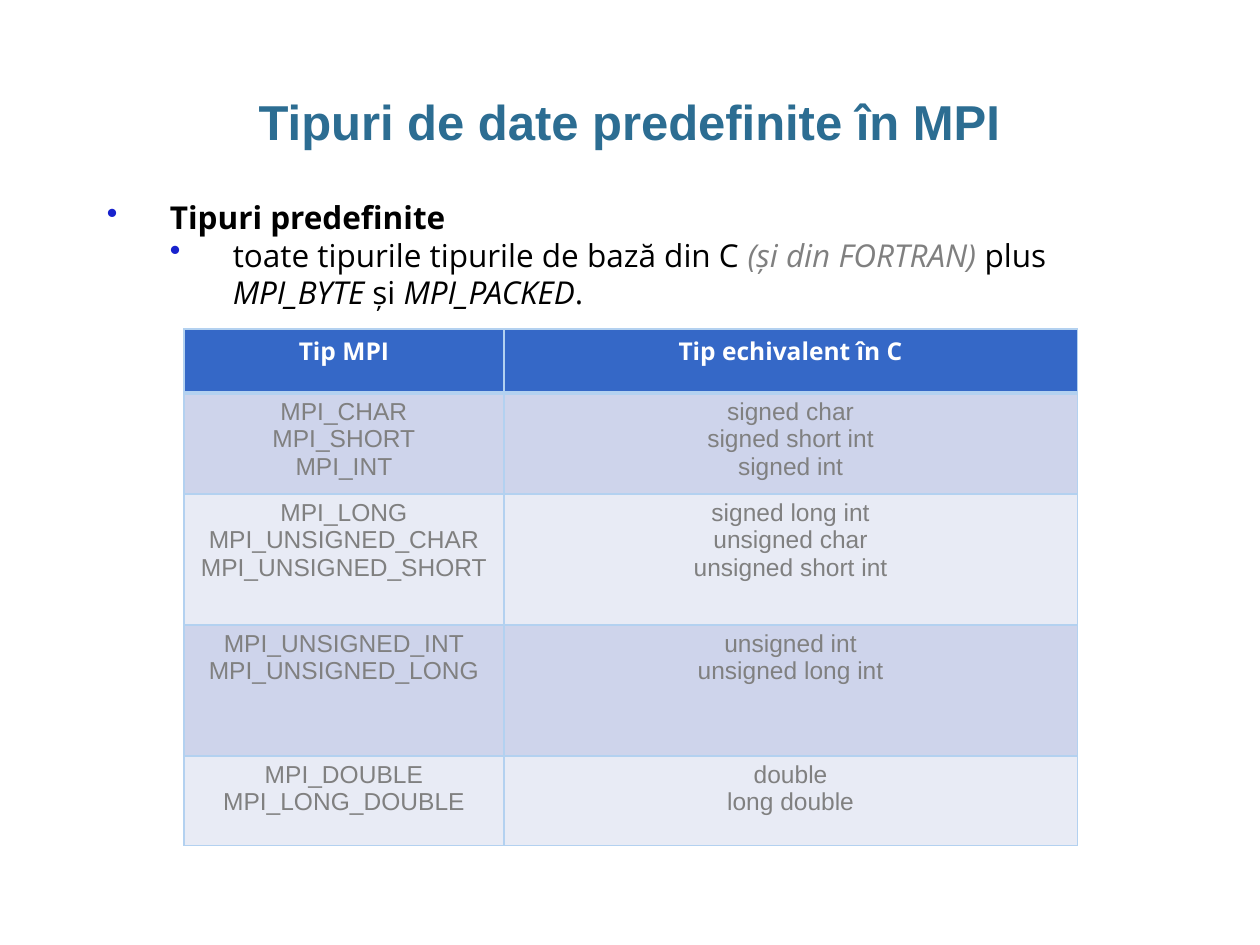
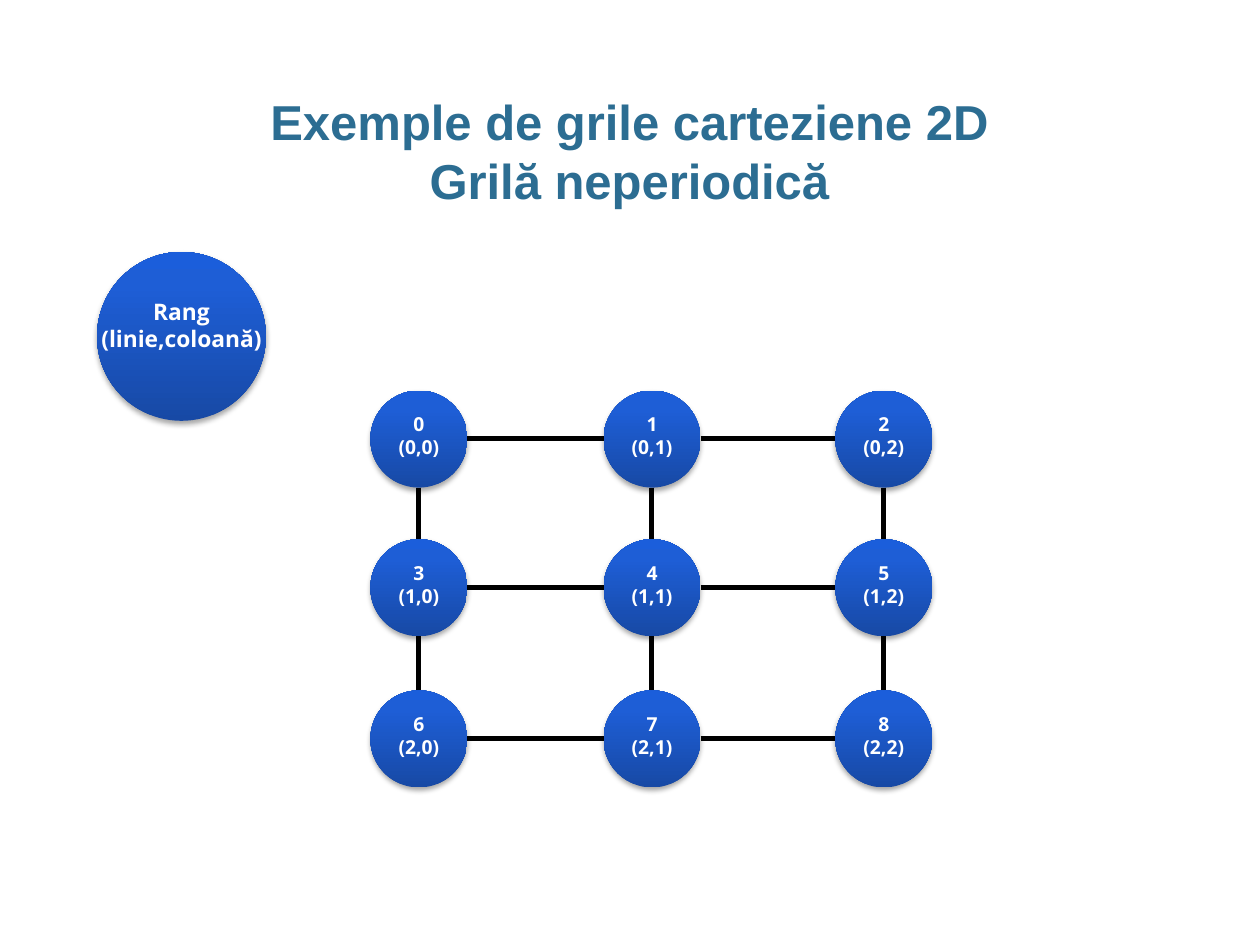
from pptx import Presentation
from pptx.dml.color import RGBColor
from pptx.enum.shapes import MSO_CONNECTOR, MSO_SHAPE
from pptx.enum.text import MSO_ANCHOR, PP_ALIGN
from pptx.oxml import parse_xml
from pptx.oxml.ns import nsdecls
from pptx.util import Pt

PX = 9144  # 100 px to the inch
COLORS = {
    "title": "2C6D92", "text": "000000", "muted": "808080", "white": "FFFFFF",
    "bullet": "1822CD", "header": "3568C7", "band": "CED4EB",
    "light_band": "E8EBF5", "border": "B3D1F0", "line": "000000",
    "node_dark": "1749A5", "node_mid": "1E5ED6", "node_bright": "1B5EDB",
}
HEADING_FONT, BODY_FONT = "Arial", "Open Sans"


def add_span(para, text, size, font, color, bold=False, italic=False):
    span = para.add_run()
    span.text = text
    span.font.size, span.font.name = Pt(size), font
    span.font.bold, span.font.italic = bold, italic
    span.font.color.rgb = RGBColor.from_string(COLORS[color])


def add_lines(frame, lines, *style):
    """Fill the frame with one centred paragraph per line."""
    for number, line in enumerate(lines):
        para = frame.add_paragraph() if number else frame.paragraphs[0]
        para.alignment = PP_ALIGN.CENTER
        add_span(para, line, *style)


deck = Presentation()
deck.slide_width, deck.slide_height = 1000 * PX, 750 * PX

# Both pages share the title style
pages = []
for title_lines in (["Tipuri de date predefinite în MPI"],
                    ["Exemple de grile carteziene 2D", "Grilă neperiodică"]):
    page = deck.slides.add_slide(deck.slide_layouts[6])
    pages.append(page)
    box = page.shapes.add_textbox(34 * PX, 68 * PX, 931 * PX, 50 * PX)
    frame = box.text_frame
    frame.word_wrap = True
    frame.margin_left = frame.margin_right = 0
    para = frame.paragraphs[0]
    para.alignment = PP_ALIGN.CENTER
    for number, line in enumerate(title_lines):
        if number:
            para.add_line_break()
        add_span(para, line, 28, HEADING_FONT, "title", True)
types_page, grid_page = pages

# Predefined types: bullets, each span as text, colour, bold, italic
bullets = [
    [("Tipuri predefinite", "text", True, False)],
    [("toate tipurile tipurile de bază din C ", "text", False, False),
     ("(și din FORTRAN) ", "muted", False, True),
     ("plus ", "text", False, False),
     ("MPI_BYTE ", "text", False, True),
     ("și ", "text", False, False),
     ("MPI_PACKED", "text", False, True),
     (".", "text", False, False)],
]
box = types_page.shapes.add_textbox(75 * PX, 152 * PX, 850 * PX, 101 * PX)
frame = box.text_frame
frame.word_wrap = True
for level, spans in enumerate(bullets):
    para = frame.add_paragraph() if level else frame.paragraphs[0]
    para.level = level
    properties = para._p.get_or_add_pPr()
    properties.set("marL", str(50 * (level + 1) * PX))
    properties.set("indent", str(-50 * PX))
    properties.append(parse_xml(
        f'<a:buClr {nsdecls("a")}><a:srgbClr val="{COLORS["bullet"]}"/></a:buClr>'))
    properties.append(parse_xml(f'<a:buChar {nsdecls("a")} char="•"/>'))
    for text, color, bold, italic in spans:
        add_span(para, text, 18, BODY_FONT, color, bold, italic)

# Table of MPI types and their C equivalents
type_rows = [
    (51, ["Tip MPI"], ["Tip echivalent în C"]),
    (80, ["MPI_CHAR", "MPI_SHORT", "MPI_INT"],
     ["signed char", "signed short int", "signed int"]),
    (104, ["MPI_LONG", "MPI_UNSIGNED_CHAR", "MPI_UNSIGNED_SHORT"],
     ["signed long int", "unsigned char", "unsigned short int"]),
    (104, ["MPI_UNSIGNED_INT", "MPI_UNSIGNED_LONG"],
     ["unsigned int", "unsigned long int"]),
    (71, ["MPI_DOUBLE", "MPI_LONG_DOUBLE"], ["double", "long double"]),
]
table = types_page.shapes.add_table(
    len(type_rows), 2, 146 * PX, 261 * PX, 709 * PX, 410 * PX).table
for column, width in zip(table.columns, (254, 455)):
    column.width = width * PX
for row, (height, *cell_lines) in enumerate(type_rows):
    table.rows[row].height = height * PX
    for column, lines in enumerate(cell_lines):
        cell = table.cell(row, column)
        cell.margin_left = cell.margin_right = 8 * PX
        cell.margin_top = cell.margin_bottom = 4 * PX
        for side in "LRTB":
            under_header = (row, side) in ((0, "B"), (1, "T"))
            cell._tc.get_or_add_tcPr().append(parse_xml(
                f'<a:ln{side} {nsdecls("a")} w="{Pt(3 if under_header else 1)}">'
                f'<a:solidFill><a:srgbClr val="{COLORS["border"]}"/></a:solidFill>'
                f'</a:ln{side}>'))
        fill = "header" if row == 0 else "band" if row % 2 else "light_band"
        cell.fill.solid()
        cell.fill.fore_color.rgb = RGBColor.from_string(COLORS[fill])
        if row == 0:
            add_lines(cell.text_frame, lines, 14, BODY_FONT, "white", True)
        else:
            add_lines(cell.text_frame, lines, 14, HEADING_FONT, "muted")

# Cartesian grid: the legend node, then one node per rank
NODE = 77
columns, rows = (294, 479, 663), (310, 428, 548)
nodes = [(77, 200, 134, 13, 18, ["Rang", "(linie,coloană)"])]
for row, top in enumerate(rows):
    for column, left in enumerate(columns):
        rank = row * len(columns) + column
        nodes.append((left, top, NODE, 11, 6, [str(rank), f"({row},{column})"]))

stops = "".join(
    f'<a:gs pos="{percent * 1000}"><a:srgbClr val="{COLORS[color]}"/></a:gs>'
    for percent, color in ((0, "node_dark"), (80, "node_mid"), (100, "node_bright")))
for left, top, size, font_size, lift, lines in nodes:
    node = grid_page.shapes.add_shape(
        MSO_SHAPE.OVAL, left * PX, top * PX, size * PX, size * PX)
    node.line.fill.background()
    node.fill.background()
    properties = node._element.spPr
    properties.replace(properties.find("{*}noFill"), parse_xml(
        f'<a:gradFill {nsdecls("a")} rotWithShape="1"><a:gsLst>{stops}</a:gsLst>'
        '<a:lin ang="16200000" scaled="0"/></a:gradFill>'))
    node.shadow.inherit = False
    properties.find("{*}effectLst").append(parse_xml(
        f'<a:outerShdw {nsdecls("a")} blurRad="{Pt(3.1)}" dist="{Pt(1.8)}" '
        'dir="5400000" rotWithShape="0"><a:srgbClr val="000000">'
        '<a:alpha val="35000"/></a:srgbClr></a:outerShdw>'))
    frame = node.text_frame
    frame.word_wrap = False
    frame.vertical_anchor = MSO_ANCHOR.MIDDLE
    frame.margin_left = frame.margin_right = frame.margin_top = 0
    frame.margin_bottom = lift * PX
    add_lines(frame, lines, font_size, BODY_FONT, "white", True)

# Links between neighbouring nodes
half = NODE // 2
links = [(left + NODE, top + half, right, top + half)
         for top in rows for left, right in zip(columns, columns[1:])]
links += [(left + half, top + NODE, left + half, bottom)
          for left in columns for top, bottom in zip(rows, rows[1:])]
for ends in links:
    link = grid_page.shapes.add_connector(
        MSO_CONNECTOR.STRAIGHT, *(end * PX for end in ends))
    link.line.width = Pt(3)
    link.line.color.rgb = RGBColor.from_string(COLORS["line"])
    link._element.spPr.append(parse_xml(f'<a:effectLst {nsdecls("a")}/>'))

deck.save("out.pptx")
